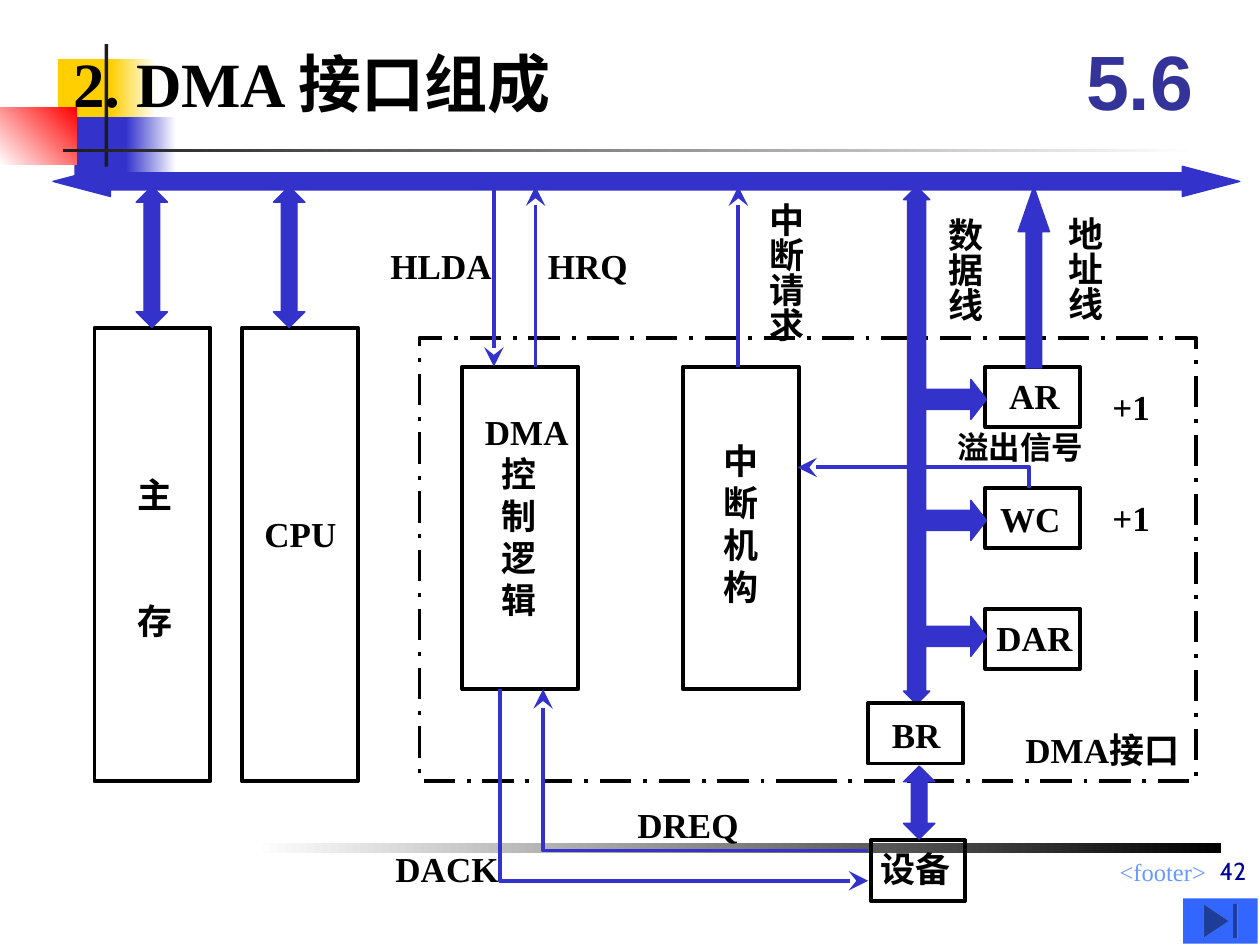
from lxml.etree import SubElement
from pptx import Presentation
from pptx.dml.color import RGBColor
from pptx.enum.dml import MSO_LINE
from pptx.enum.shapes import MSO_CONNECTOR, MSO_SHAPE as SHAPE
from pptx.enum.text import MSO_ANCHOR as ANCHOR, MSO_AUTO_SIZE as AUTO, PP_ALIGN as ALIGN
from pptx.oxml.ns import qn
from pptx.util import Inches, Pt

COLORS = {
    "black": "000000", "white": "FFFFFF", "ink": "1C1C1C", "blue": "3333CC",
    "yellow": "FFCF01", "red": "FF0000", "section": "333399",
    "footer": "6699FF", "number": "000099", "button": "3366FF",
}
SERIF = "Times New Roman"

# Shared rows and columns of the diagram, in inches
BUS_Y = 1.48
HOST_TOP, HOST_HEIGHT = 2.6, 3.6
UNIT_TOP, UNIT_HEIGHT = 2.91, 2.56
UNIT_BOTTOM = UNIT_TOP + UNIT_HEIGHT
BLOCK_WIDTH = 0.92
REGISTER_X, REGISTER_STEP = 7.82, 0.96
REGISTER_SIZE = (0.75, 0.48)
LABEL_HEIGHT, LABEL_SLACK = 0.44, 0.15


def rgb(name):
    return RGBColor.from_string(COLORS[name])


def inches(values):
    return [Inches(value) for value in values]


def add_block(slide, kind, at, fill=None, line=None, width=0.75, adjust=()):
    block = slide.shapes.add_shape(kind, *inches(at))
    block.shadow.inherit = False
    for index, value in enumerate(adjust):
        block.adjustments[index] = value
    if fill:
        block.fill.solid()
        block.fill.fore_color.rgb = rgb(fill)
    else:
        block.fill.background()
    if line:
        block.line.color.rgb = rgb(line)
        block.line.width = Pt(width)
    else:
        block.line.fill.background()
    return block


def add_fade(slide, at, start, end, angle=180):
    fill = add_block(slide, SHAPE.RECTANGLE, at).fill
    fill.gradient()
    fill.gradient_angle = angle
    for stop, color in zip(fill.gradient_stops, (start, end)):
        stop.color.rgb = rgb(color)


def add_frame(slide, at):
    return add_block(slide, SHAPE.RECTANGLE, at, line="black", width=2.25)


def add_bus(slide, kind, at, adjust):
    add_block(slide, kind, at, "blue", "blue", adjust=adjust)


def add_two_way_bus(slide, at, shaft, head):
    add_bus(slide, SHAPE.UP_DOWN_ARROW, at, (head, shaft))


def style_paragraph(paragraph, size, color="black", font=SERIF, bold=True, align=ALIGN.LEFT):
    paragraph.alignment = align
    paragraph.font.size = Pt(size)
    paragraph.font.name = font
    paragraph.font.bold = bold
    paragraph.font.color.rgb = rgb(color)


def add_text(slide, text, at, size=20, wrap=True, anchor=ANCHOR.TOP, **style):
    frame = slide.shapes.add_textbox(*inches(at)).text_frame
    frame.word_wrap = wrap
    frame.auto_size = AUTO.NONE if wrap else AUTO.SHAPE_TO_FIT_TEXT
    frame.vertical_anchor = anchor
    frame.text = text
    for paragraph in frame.paragraphs:
        style_paragraph(paragraph, size, **style)
    return frame


def add_label(slide, text, left, top, width, height=LABEL_HEIGHT, size=20):
    return add_text(slide, text, (left, top, width + LABEL_SLACK, height), size)


def add_vertical_label(slide, text, at):
    frame = add_text(slide, text, at, wrap=False)
    frame.margin_left = frame.margin_right = Inches(0.05)
    frame.margin_top = frame.margin_bottom = Inches(0.1)
    frame._txBody.bodyPr.set("vert", "eaVert")


def style_signal(signal):
    signal.line.color.rgb = rgb("blue")
    signal.line.width = Pt(2.25)
    SubElement(signal.line._get_or_add_ln(), qn("a:tailEnd"), type="stealth", w="lg", len="lg")


def add_signal(slide, x, start_y, end_y):
    signal = slide.shapes.add_connector(
        MSO_CONNECTOR.STRAIGHT, *inches((x, start_y, x, end_y)))
    style_signal(signal)
    SubElement(signal._element.spPr, qn("a:effectLst"))


def add_bent_signal(slide, *points):
    start, *corners = [inches(point) for point in points]
    builder = slide.shapes.build_freeform(*start)
    builder.add_line_segments(corners, close=False)
    signal = builder.convert_to_shape()
    signal.shadow.inherit = False
    signal.fill.background()
    style_signal(signal)


def draw_background(slide):
    add_block(slide, SHAPE.RECTANGLE, (0.46, 0.47, 0.48, 0.52), "yellow")
    add_fade(slide, (0.88, 0.47, 0.36, 0.52), "white", "yellow")
    add_block(slide, SHAPE.RECTANGLE, (0.59, 0.93, 0.46, 0.52), "blue")
    add_fade(slide, (1, 0.93, 0.4, 0.52), "white", "blue")
    add_fade(slide, (0, 0.85, 0.61, 0.46), "red", "white", 225)
    add_block(slide, SHAPE.RECTANGLE, (0.83, 0.35, 0.03, 1.15), "ink")
    add_fade(slide, (0.5, 1.18, 9, 0.03), "white", "ink")
    add_fade(slide, (2.02, 6.69, 7.67, 0.08), "black", "white")


def draw_heading(slide):
    title = slide.shapes.title
    title.left, title.top, title.width, title.height = inches((0.48, 0.3, 4.52, 0.7))
    frame = title.text_frame
    frame.text = "2. DMA 接口组成"
    frame.vertical_anchor = ANCHOR.TOP
    frame.auto_size = AUTO.NONE
    style_paragraph(frame.paragraphs[0], 36)
    title.element.getparent().append(title.element)  # in front of the colour squares
    add_text(slide, "5.6", (8.42, 0.17, 1.25, 0.92), 44, anchor=ANCHOR.MIDDLE,
             color="section", font="Arial", align=ALIGN.CENTER)


def draw_host(slide):
    add_bus(slide, SHAPE.LEFT_RIGHT_ARROW, (0.42, 1.32, 9.42, 0.24), (0.568, 1.9))
    for left, arrow_left in ((0.75, 1.08), (1.92, 2.17)):
        add_frame(slide, (left, HOST_TOP, BLOCK_WIDTH, HOST_HEIGHT))
        add_two_way_bus(slide, (arrow_left, BUS_Y, 0.25, HOST_TOP - BUS_Y), 0.5, 0.891)
    memory = add_label(slide, "主\n存", 0.99, 3.71, 0.48, 1.44)
    memory.paragraphs[1].space_before = Pt(48)
    add_label(slide, "CPU", 2, 4.02, 0.77)


def draw_interface(slide):
    border = add_frame(slide, (3.33, 2.68, 6.16, 3.52))
    border.line.dash_style = MSO_LINE.LONG_DASH_DOT
    add_label(slide, "DMA接口", 8.04, 5.73, 1.49)

    # Control logic and interrupt unit
    for left in (3.67, 5.42):
        add_frame(slide, (left, UNIT_TOP, BLOCK_WIDTH, UNIT_HEIGHT))
    logic = add_label(slide, "DMA\n控\n制\n逻\n辑", 3.75, 3.21, 0.86, 1.77)
    for paragraph in logic.paragraphs[1:]:
        paragraph._p.get_or_add_pPr().set("marL", str(Inches(0.13)))
    add_label(slide, "中\n断\n机\n构", 5.64, 3.44, 0.48, 1.44)

    # Registers, fed by the data lines
    registers = (("AR", (7.91, 2.92, 0.6), 3.01),
                 ("WC", (7.84, 3.9, 0.68), 3.97),
                 ("DAR", (7.81, 4.84, 0.8), 4.89))
    add_two_way_bus(slide, (7.17, BUS_Y, 0.21, 4.11), 0.688, 1.489)
    for row, (name, label_at, arrow_top) in enumerate(registers):
        add_frame(slide, (REGISTER_X, UNIT_TOP + row * REGISTER_STEP, *REGISTER_SIZE))
        add_label(slide, name, *label_at)
        add_bus(slide, SHAPE.RIGHT_ARROW, (7.33, arrow_top, 0.5, 0.32), (0.5, 0.389))
    for top in (3.01, 3.89):
        add_label(slide, "+1", 8.73, top, 0.5)
    add_bus(slide, SHAPE.UP_ARROW, (8.08, BUS_Y, 0.25, 1.44), (0.5, 1.439))

    # Buffer register and device
    for name, corner, label_at in (("BR", (6.89, 5.58), (6.98, 5.61, 0.58)),
                                   ("设备", (6.91, 6.67), (6.89, 6.68, 0.75))):
        add_frame(slide, (*corner, *REGISTER_SIZE))
        add_label(slide, name, *label_at)
    add_two_way_bus(slide, (7.17, 6.08, 0.25, 0.58), 0.5, 0.464)


def draw_signals(slide):
    add_signal(slide, 3.92, BUS_Y, UNIT_TOP)
    for x in (4.25, 5.86):
        add_signal(slide, x, UNIT_TOP, BUS_Y)
    add_bent_signal(slide, (8.17, 3.87), (8.17, 3.71), (6.33, 3.71))
    add_bent_signal(slide, (6.89, 6.75), (4.31, 6.75), (4.31, UNIT_BOTTOM))
    add_bent_signal(slide, (3.97, UNIT_BOTTOM), (3.97, 6.99), (6.89, 6.99))

    for name, left, top, width in (("HLDA", 3, 1.89, 1), ("HRQ", 4.25, 1.89, 0.83),
                                   ("DREQ", 4.96, 6.33, 1), ("DACK", 3.04, 6.68, 1.02)):
        add_label(slide, name, left, top, width)
    add_label(slide, "溢出信号", 7.5, 3.35, 1.2, 0.4, size=18)
    for name, left, top, height in (("中断请求", 5.92, 1.51, 1.22),
                                    ("数据线", 7.34, 1.63, 0.94),
                                    ("地址线", 8.3, 1.62, 0.94)):
        add_vertical_label(slide, name, (left, top, 0.53, height))


def draw_footer(slide):
    small = dict(size=14, bold=False, align=ALIGN.RIGHT)
    add_text(slide, "<footer>", (3.92, 6.75, 5.75, 0.26), color="footer", **small)
    add_text(slide, "42", (5.21, 6.58, 4.78, 0.5), color="number", font="Cabin",
             anchor=ANCHOR.BOTTOM, **small)
    add_block(slide, SHAPE.ACTION_BUTTON_END, (9.39, 7.13, 0.59, 0.36), "button")


def main():
    deck = Presentation()
    deck.slide_width, deck.slide_height = inches((10, 7.5))
    slide = deck.slides.add_slide(deck.slide_layouts[5])
    draw_background(slide)
    draw_heading(slide)
    draw_host(slide)
    draw_interface(slide)
    draw_signals(slide)
    draw_footer(slide)
    deck.save("out.pptx")


if __name__ == "__main__":
    main()
